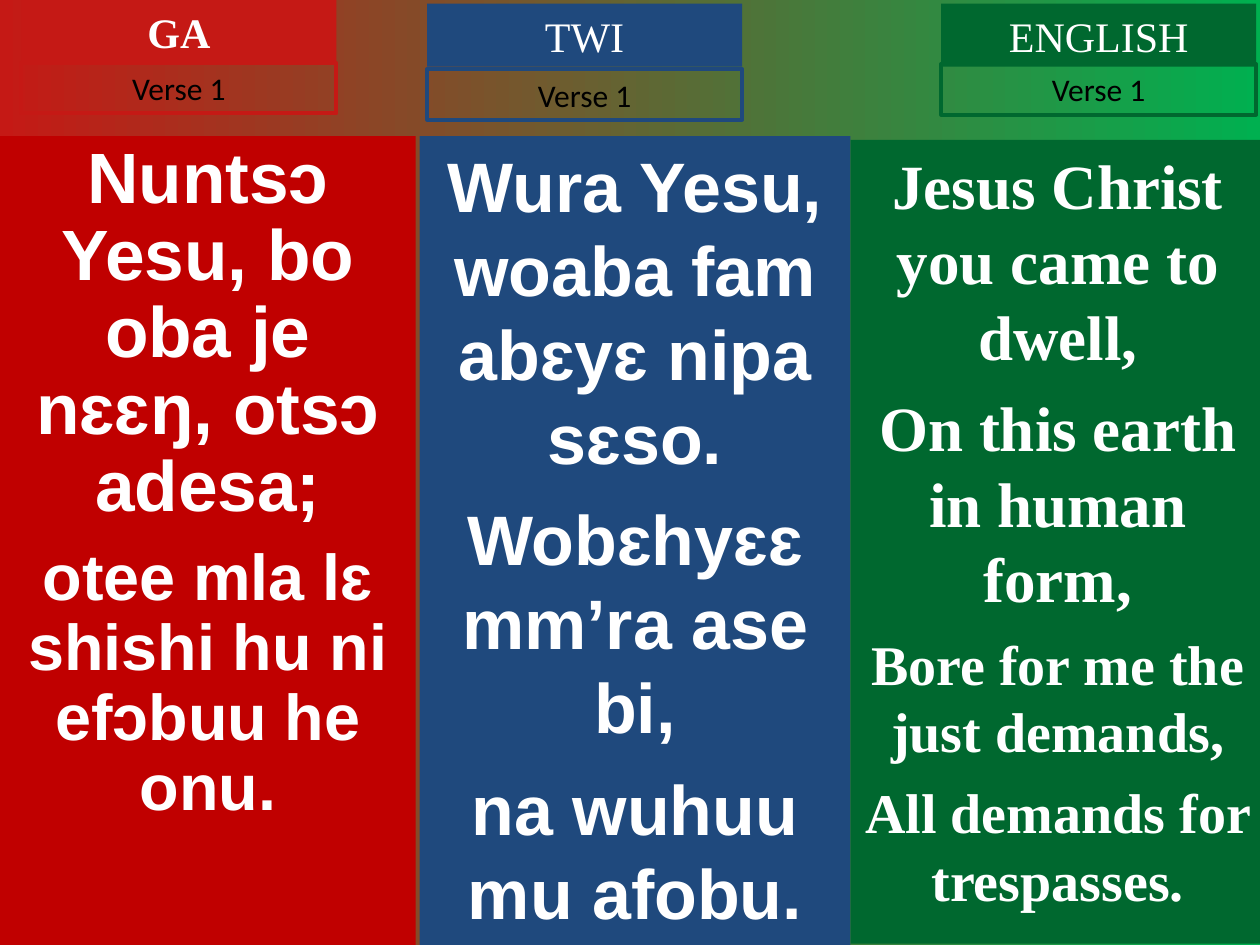
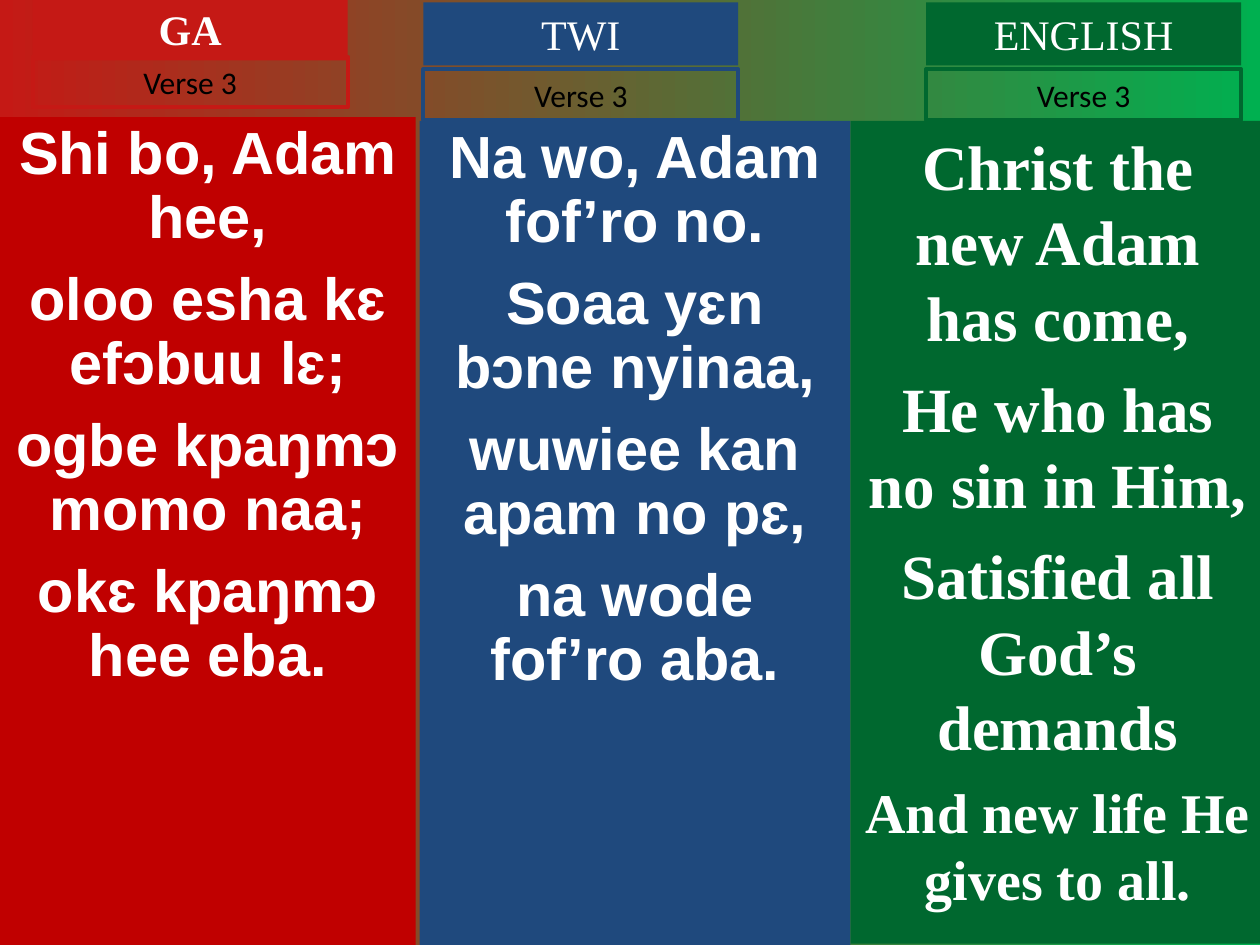
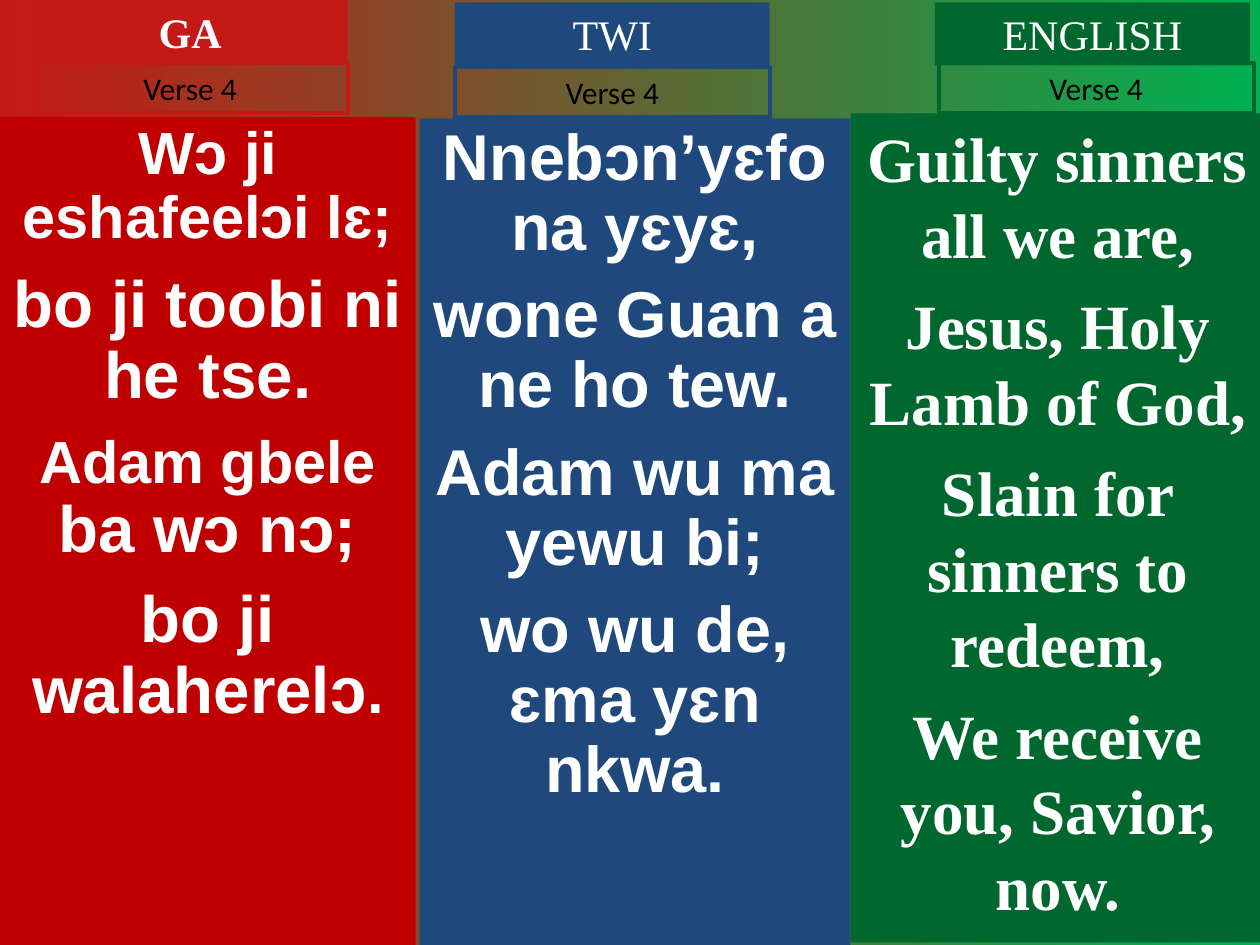
from pptx import Presentation
from pptx.dml.color import RGBColor
from pptx.enum.shapes import MSO_SHAPE
from pptx.enum.text import MSO_ANCHOR, MSO_AUTO_SIZE, PP_ALIGN
from pptx.util import Inches, Pt

RECTANGLE = MSO_SHAPE.RECTANGLE
CENTER = PP_ALIGN.CENTER
TOP, MIDDLE = MSO_ANCHOR.TOP, MSO_ANCHOR.MIDDLE
GROW = MSO_AUTO_SIZE.SHAPE_TO_FIT_TEXT

COLORS = {
    "red": "C51915", "deep red": "C00000", "blue": "1F497D",
    "green": "00682F", "bright green": "00B050",
    "white": "FFFFFF", "black": "000000",
}

# Columns: left and width of the verse panel, its font and its colours
LANGUAGES = {
    "GA": dict(left=0, width=3.3, font="Arial", panel="deep red", label="red", bold=True),
    "TWI": dict(left=3.33, width=3.42, font="Arial", panel="blue", label="blue", bold=False),
    "ENGLISH": dict(left=6.75, width=3.29, font="Times New Roman", panel="green",
                    label="green", bold=False),
}
LABEL_WIDTH, HEADER_HEIGHT, VERSE_HEIGHT = 2.5, 0.5, 0.4
SPACE_BEFORE = {32: 8, 34: 10, 36: 9, 37: 10, 37.4: 11, 40: 10, 40.7: 11}

# Per language: header and verse label as (left, top), panel as (top, bottom),
# line spacing, and the lines, each a list of (size, text) spans
SLIDES = [
    ("Verse 1", {
        "GA": dict(header=(0.17, 0), verse=(0.17, 0.5), panel=(1.08, 7.5), spacing=0.9, lines=[
            [(40.7, "Nuntsɔ Yesu, bo oba je nɛɛŋ, otsɔ adesa;")],
            [(37, "otee mla lɛ shishi hu ni efɔbuu he onu.")]]),
        "TWI": dict(header=(3.39, 0.03), verse=(3.39, 0.55), panel=(1.08, 7.5), spacing=1.0, lines=[
            [(40, "Wura Yesu, woaba fam abɛyɛ nipa sɛso.")],
            [(40, "Wobɛhyɛɛ mm’ra ase bi,")],
            [(40, "na wuhuu mu afobu.")]]),
        "ENGLISH": dict(header=(7.47, 0.03), verse=(7.47, 0.51), panel=(1.11, 7.49), spacing=1.0, lines=[
            [(36, "Jesus Christ you came to dwell,")],
            [(36, "On this earth in human form,")],
            [(32, "Bore for me the just demands,")],
            [(32, "All demands for trespasses.")]]),
    }),
    ("Verse 3", {
        "GA": dict(header=(0.26, -0.02), verse=(0.26, 0.45), panel=(0.93, 7.5), spacing=0.9, lines=[
            [(34, "Shi bo, Adam hee,")],
            [(34, "oloo esha kɛ efɔbuu lɛ;")],
            [(34, "ogbe kpaŋmɔ momo naa;")],
            [(34, "okɛ kpaŋmɔ hee eba.")]]),
        "TWI": dict(header=(3.36, 0.02), verse=(3.36, 0.55), panel=(0.96, 7.5), spacing=0.9, lines=[
            [(34, "Na wo, Adam fof’ro no.")],
            [(34, "Soaa yɛn bɔne nyinaa,")],
            [(34, "wuwiee kan apam no pɛ,")],
            [(34, "na wode fof’ro aba.")]]),
        "ENGLISH": dict(header=(7.35, 0.02), verse=(7.35, 0.55), panel=(0.96, 7.49), spacing=1.0, lines=[
            [(36, "Christ the new Adam has come,")],
            [(36, "He who has no sin in Him,")],
            [(36, "Satisfied all God’s demands")],
            [(32, "And new life He gives to all.")]]),
    }),
    ("Verse 4", {
        "GA": dict(header=(0.26, 0), verse=(0.26, 0.5), panel=(0.93, 7.5), spacing=0.9, lines=[
            [(34, "Wɔ ji eshafeelɔi lɛ;")],
            [(37.4, "bo ji toobi ni he tse.")],
            [(34, "Adam gbele "), (37.4, "ba wɔ nɔ;")],
            [(37.4, "bo ji walaherelɔ"), (34, ".")]]),
        "TWI": dict(header=(3.61, 0.02), verse=(3.61, 0.53), panel=(0.94, 7.5), spacing=0.9, lines=[
            [(37, "Nnebɔn’yɛfo na yɛyɛ,")],
            [(37, "wone Guan a ne ho tew.")],
            [(37, "Adam wu ma yewu bi;")],
            [(37, "wo wu de, ɛma yɛn nkwa.")]]),
        "ENGLISH": dict(header=(7.42, 0.02), verse=(7.45, 0.5), panel=(0.9, 7.48), spacing=1.0, lines=[
            [(36, "Guilty sinners all we are,")],
            [(36, "Jesus, Holy Lamb of God,")],
            [(36, "Slain for sinners to redeem,")],
            [(36, "We receive you, Savior, now.")]]),
    }),
]


def rgb(name):
    return RGBColor.from_string(COLORS[name])


def add_box(page, left, top, width, height, fill=None, line=None, anchor=MIDDLE):
    box = page.shapes.add_shape(RECTANGLE, Inches(left), Inches(top),
                                Inches(width), Inches(height))
    box.shadow.inherit = False
    if fill:
        box.fill.solid()
        box.fill.fore_color.rgb = rgb(fill)
    else:
        box.fill.background()
    if line:
        box.line.color.rgb = rgb(line)
        box.line.width = Pt(2.25)
    else:
        box.line.fill.background()
    box.text_frame.word_wrap = True
    box.text_frame.vertical_anchor = anchor
    return box


def style(para, font, color, bold, size=None):
    para.alignment = CENTER
    para.font.name = font
    para.font.color.rgb = rgb(color)
    para.font.bold = bold
    if size:
        para.font.size = Pt(size)


def add_label(box, text, font, size, color, bold=False):
    box.text_frame.auto_size = GROW
    para = box.text_frame.paragraphs[0]
    para.text = text
    style(para, font, color, bold, size)


def add_lines(box, lines, font, spacing):
    frame = box.text_frame
    for number, spans in enumerate(lines):
        para = frame.add_paragraph() if number else frame.paragraphs[0]
        para.line_spacing = spacing
        if number:
            para.space_before = Pt(max(SPACE_BEFORE[size] for size, _ in spans))
        style(para, font, "white", True, spans[0][0])
        for size, text in spans:
            span = para.add_run()
            span.text = text
            if size != spans[0][0]:
                span.font.size = Pt(size)


def add_column(page, name, verse, part):
    language = LANGUAGES[name]
    # Verse panel
    top, bottom = part["panel"]
    panel = add_box(page, language["left"], top, language["width"], bottom - top,
                    fill=language["panel"], anchor=TOP)
    add_lines(panel, part["lines"], language["font"], part["spacing"])
    # Language header and verse label
    header = add_box(page, *part["header"], LABEL_WIDTH, HEADER_HEIGHT, fill=language["label"])
    add_label(header, name, "Times New Roman", 24, "white", language["bold"])
    label = add_box(page, *part["verse"], LABEL_WIDTH, VERSE_HEIGHT, line=language["label"])
    add_label(label, verse, "Calibri", 18, "black")


def main():
    deck = Presentation()
    deck.slide_width, deck.slide_height = Inches(10), Inches(7.5)

    # Shared background, red to green from left to right
    backdrop = deck.slide_master.background.fill
    backdrop.gradient()
    backdrop.gradient_angle = 0
    for stop, color, position in zip(backdrop.gradient_stops, ("red", "bright green"), (0, 1)):
        stop.color.rgb = rgb(color)
        stop.position = position

    blank = deck.slide_layouts.get_by_name("Blank")
    for verse, columns in SLIDES:
        page = deck.slides.add_slide(blank)
        for name, part in columns.items():
            add_column(page, name, verse, part)
    deck.save("out.pptx")


if __name__ == "__main__":
    main()
